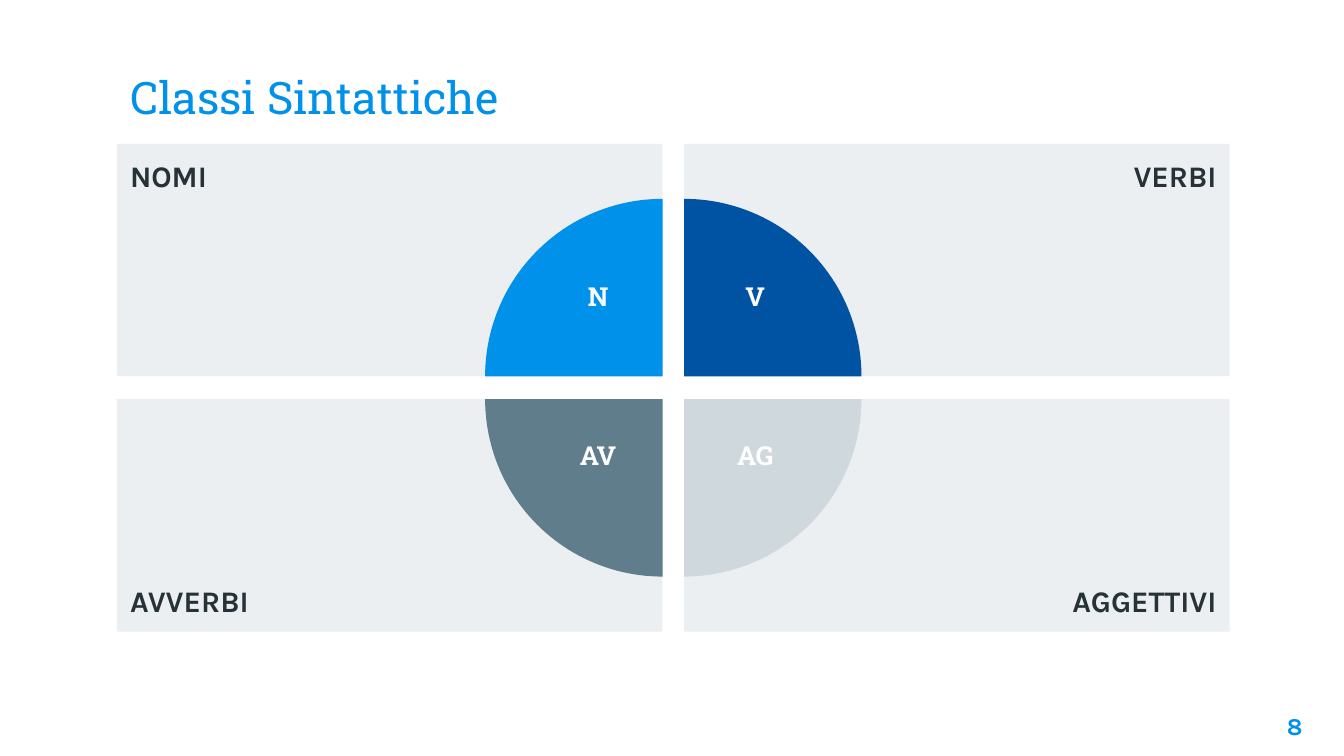
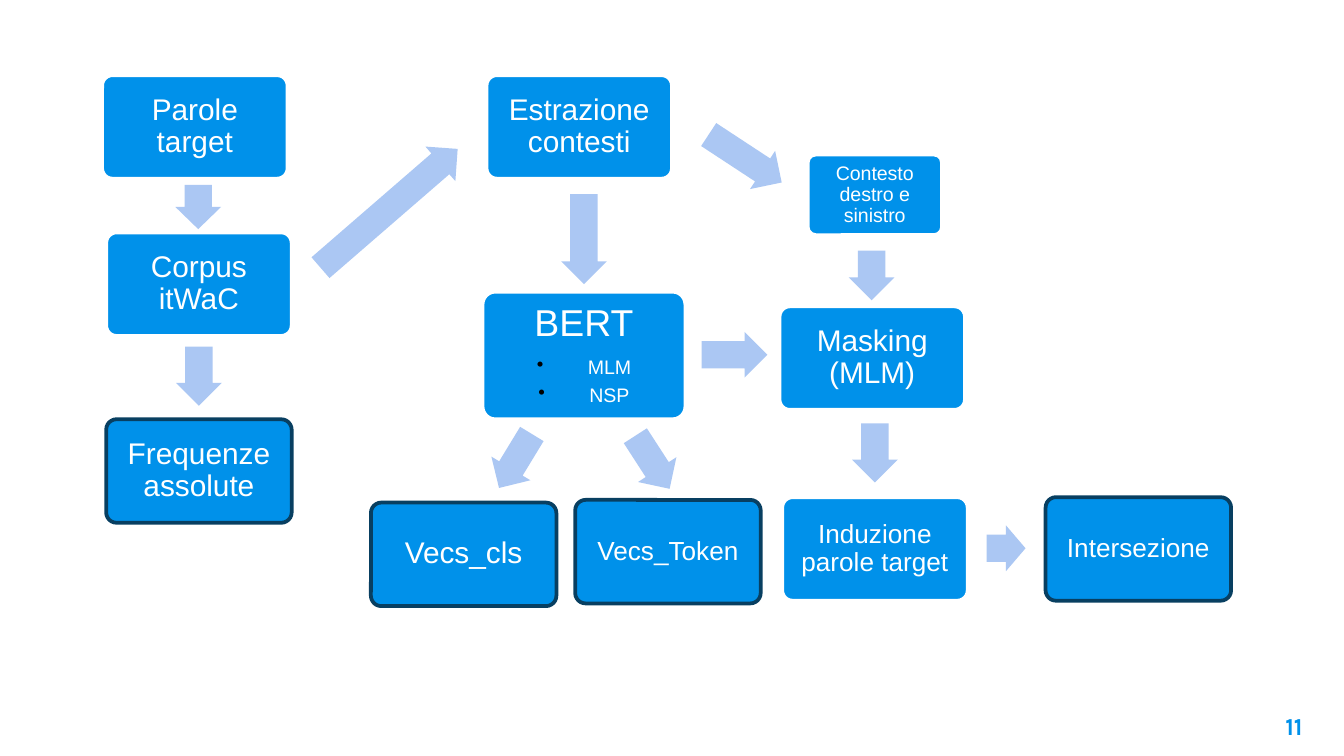
"""Build two slides: the syntactic classes and the processing pipeline."""
from lxml import etree
from pptx import Presentation
from pptx import util as u
from pptx.dml.color import RGBColor
from pptx.enum import shapes, text
from pptx.oxml.ns import qn

WIDTH, HEIGHT = u.Inches(10), u.Inches(5.625)
COLUMNS = 100
CELL = WIDTH / COLUMNS

BLUE = RGBColor(0x00, 0x91, 0xEA)
DARK_BLUE = RGBColor(0x00, 0x53, 0xA3)
SLATE = RGBColor(0x60, 0x7D, 0x8B)
SILVER = RGBColor(0xCF, 0xD8, 0xDC)
PANEL = RGBColor(0xEC, 0xEF, 0xF1)
INK = RGBColor(0x26, 0x32, 0x38)
WHITE = RGBColor(0xFF, 0xFF, 0xFF)
ARROW = RGBColor(0xAB, 0xC7, 0xF3)
OUTLINE = RGBColor(0x08, 0x3F, 0x61)

LEFT, CENTER, RIGHT = text.PP_ALIGN.LEFT, text.PP_ALIGN.CENTER, text.PP_ALIGN.RIGHT
TOP, MIDDLE, BOTTOM = (text.MSO_ANCHOR.TOP, text.MSO_ANCHOR.MIDDLE,
                       text.MSO_ANCHOR.BOTTOM)
TITLE_FONT = {"name": "Roboto Slab", "size": u.Pt(24)}
PAGE_FONT = {"name": "Karla", "size": u.Pt(13), "bold": True}
PANEL_FONT = {"name": "Karla", "size": u.Pt(16), "bold": True}
LETTER_FONT = {"name": "Roboto Slab", "size": u.Pt(14), "bold": True}

# (name, letter, letter width, colour, column, row, rotation)
CLASSES = [
    ("NOMI", "N", 4.6, BLUE, 0, 0, 0),
    ("VERBI", "V", 6.2, DARK_BLUE, 1, 0, 90),
    ("AGGETTIVI", "AG", 7.8, SILVER, 1, 1, 180),
    ("AVVERBI", "AV", 7.7, SLATE, 0, 1, 270),
]
STEP_SIZE = (13.8, 7.7)
# (label, left, top, text size, line colour)
STEPS = [
    ("Parole target", 7.6, 5.6, 16, WHITE),
    ("Corpus itWaC", 7.9, 17.3, 16, WHITE),
    ("Frequenze assolute", 7.9, 31.2, 16, OUTLINE),
    ("Estrazione contesti", 36.2, 5.6, 16, WHITE),
    ("Masking (MLM)", 58, 22.8, 16, WHITE),
    ("Vecs_cls", 27.6, 37.4, 16, OUTLINE),
    ("Vecs_Token", 42.8, 37.2, 14, OUTLINE),
    ("Induzione parole target", 58.2, 37, 14, WHITE),
    ("Intersezione", 77.8, 37, 14, OUTLINE),
]
# (left, top, length, rotation)
ARROWS = [
    (13.1, 13.7, 3.3, 90), (12.6, 26.3, 4.4, 90), (22.2, 13.8, 13.5, 319.1),
    (40.1, 16.1, 6.7, 90), (52.2, 10.1, 6.5, 33.3), (63, 18.8, 3.7, 90),
    (52.2, 24.7, 4.9, 0), (62.9, 32, 4.4, 90), (36, 32.6, 4.7, 121.3),
    (46.2, 32.7, 4.7, 57.1), (73.4, 39.1, 2.9, 0),
]


def cells(*counts):
    """Turn counts of grid cells into lengths."""
    return [u.Emu(round(count * CELL)) for count in counts]


def set_frame(shape, anchor, insets):
    """Set wrapping, anchor and the left, top, right and bottom insets."""
    left, top, right, bottom = cells(*insets)
    values = {"word_wrap": True, "vertical_anchor": anchor, "margin_left": left,
              "margin_top": top, "margin_right": right, "margin_bottom": bottom}
    for name, value in values.items():
        setattr(shape.text_frame, name, value)


def write(paragraph, words, font, color, **layout):
    """Write one run with its font and paragraph layout."""
    run = paragraph.add_run()
    run.text = words
    for name, value in font.items():
        setattr(run.font, name, value)
    run.font.color.rgb = color
    for name, value in layout.items():
        setattr(paragraph, name, value)


def add_label(slide, box, words, font, color, alignment, anchor=TOP,
              insets=(1, 1, 1, 1)):
    """Add a one-paragraph text box."""
    shape = slide.shapes.add_textbox(*cells(*box))
    set_frame(shape, anchor, insets)
    write(shape.text_frame.paragraphs[0], words, font, color, alignment=alignment)


def add_block(slide, kind, box, fill, adjustments=(), rotation=0, line=None):
    """Add a filled preset shape."""
    shape = slide.shapes.add_shape(kind, *cells(*box))
    shape.shadow.inherit = False
    shape.rotation = rotation
    for index, value in enumerate(adjustments):
        shape.adjustments[index] = value
    shape.fill.solid()
    shape.fill.fore_color.rgb = fill
    if line is None:
        shape.line.fill.background()
    else:
        shape.line.color.rgb = line
        shape.line.width = u.Pt(2)
    return shape


def add_panel(slide, name, column, row):
    """Add a quadrant panel with its name in the outer corner."""
    box = (8.7 + 42.2 * column, 10.7 + 19 * row, 40.6, 17.3)
    panel = add_block(slide, shapes.MSO_SHAPE.RECTANGLE, box, PANEL)
    insets = (15, 1, 1, 1) if column else (1, 1, 15, 1)
    set_frame(panel, BOTTOM if row else TOP, insets)
    write(panel.text_frame.paragraphs[0], name, PANEL_FONT, INK,
          alignment=RIGHT if column else LEFT)


def add_sector(slide, color, column, row, rotation):
    """Add a quarter of the central disc."""
    box = (36.1 + 1.6 * column, 14.8 + 1.7 * row, 26.4, 26.4)
    add_block(slide, shapes.MSO_SHAPE.PIE, box, color, (108, 162), rotation)


def add_letter(slide, letter, width, column, row):
    """Add the initials of a class over its sector."""
    box = (44.5 + 11.7 * column - width / 2, 20.4 + 11.8 * row, width, 4.9)
    add_label(slide, box, letter, LETTER_FONT, WHITE, CENTER,
              insets=(1, 0.5, 1, 0.5))


def add_bullet(paragraph):
    """Give a paragraph a hanging black bullet."""
    properties = paragraph._p.get_or_add_pPr()
    indent = u.Inches(0.38)
    properties.set("marL", str(indent))
    properties.set("indent", str(-indent))
    color = etree.SubElement(properties, qn("a:buClr"))
    etree.SubElement(color, qn("a:srgbClr"), val="000000")
    etree.SubElement(properties, qn("a:buChar"), char="•")


def add_step(slide, label, left, top, size, line=WHITE, box_size=STEP_SIZE,
             bullets=()):
    """Add a rounded pipeline step with optional bullets."""
    step = add_block(slide, shapes.MSO_SHAPE.ROUNDED_RECTANGLE,
                     (left, top, *box_size), BLUE, (0.1,), line=line)
    set_frame(step, MIDDLE, (1.1, 1.1, 1.1, 1.1))
    frame = step.text_frame
    lines = [(label, size)] + [(bullet, 10.5) for bullet in bullets]
    for index, (words, points) in enumerate(lines):
        paragraph = frame.add_paragraph() if index else frame.paragraphs[0]
        write(paragraph, words, {"name": "Arial", "size": u.Pt(points)}, WHITE,
              alignment=CENTER, line_spacing=0.9, space_after=u.Pt(0.35 * points))
        if index:
            add_bullet(paragraph)


def add_arrow(slide, left, top, length, rotation):
    """Add a block arrow."""
    add_block(slide, shapes.MSO_SHAPE.RIGHT_ARROW, (left, top, length, 3.4),
              ARROW, (0.6, 0.5), rotation)


def add_slide(presentation, number):
    """Add a blank slide with its page number."""
    slide = presentation.slides.add_slide(presentation.slide_layouts[6])
    add_label(slide, (91.9, 51.9, 6, 4.3), str(number), PAGE_FONT, BLUE, RIGHT)
    return slide


def build_classes(presentation):
    """Build the slide of the four syntactic classes."""
    slide = add_slide(presentation, 8)
    add_label(slide, (8.7, 5, 31, 5.2), "Classi Sintattiche", TITLE_FONT, BLUE,
              LEFT, BOTTOM)
    for name, _, _, _, column, row, _ in CLASSES:
        add_panel(slide, name, column, row)
    for _, _, _, color, column, row, rotation in CLASSES:
        add_sector(slide, color, column, row, rotation)
    for _, letter, width, _, column, row, _ in CLASSES:
        add_letter(slide, letter, width, column, row)


def build_pipeline(presentation):
    """Build the slide of the processing pipeline."""
    slide = add_slide(presentation, 11)
    for step in STEPS:
        add_step(slide, *step)
    add_step(slide, "BERT", 35.9, 21.7, 20, box_size=(15.1, 9.5),
             bullets=("MLM", "NSP"))
    add_step(slide, "Contesto destro e sinistro", 60.1, 11.5, 10.5,
             box_size=(10, 6))
    for arrow in ARROWS:
        add_arrow(slide, *arrow)


def main():
    """Build and save the presentation."""
    presentation = Presentation()
    presentation.slide_width, presentation.slide_height = WIDTH, HEIGHT
    build_classes(presentation)
    build_pipeline(presentation)
    presentation.save("out.pptx")


if __name__ == "__main__":
    main()
